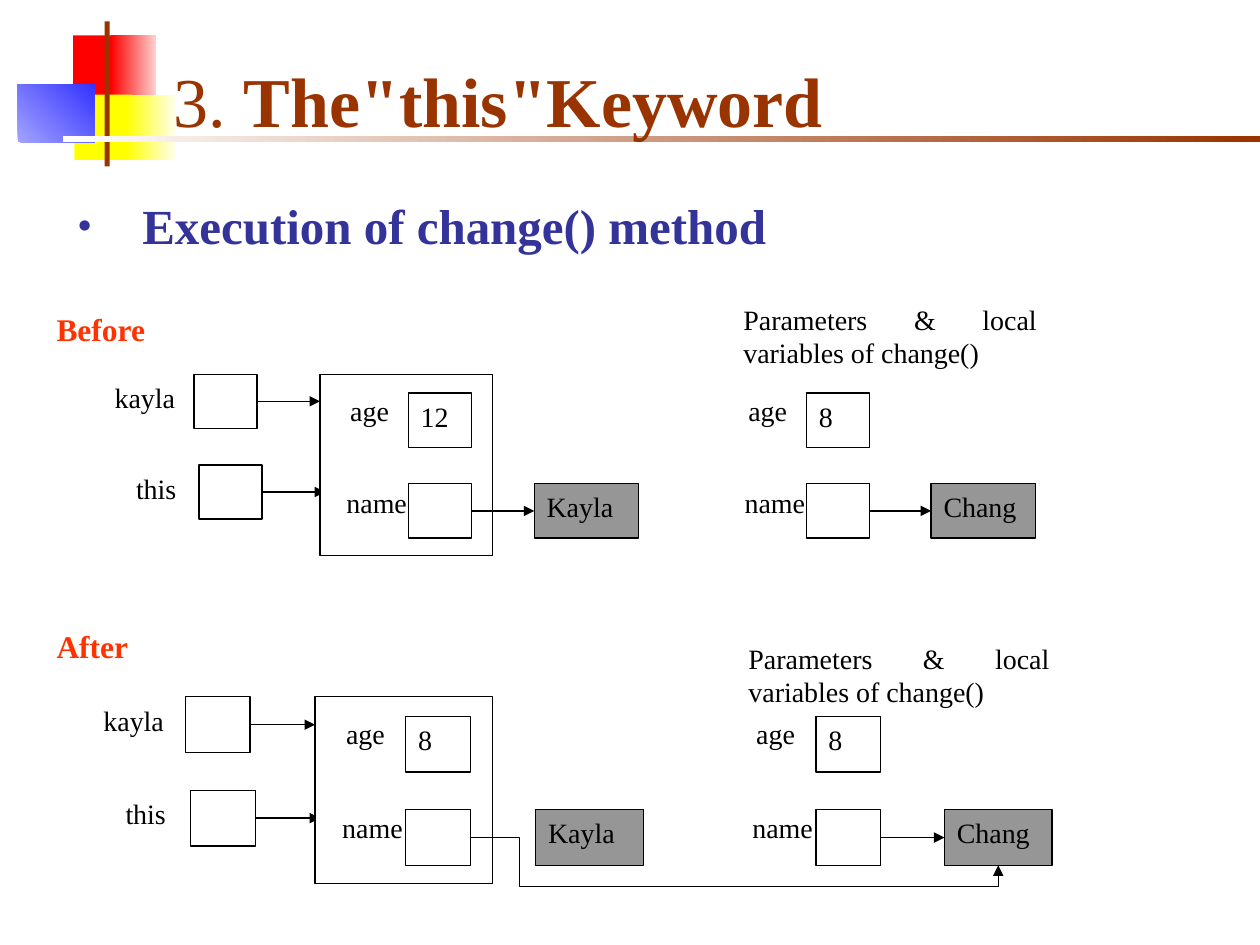
from lxml.etree import SubElement
from pptx import Presentation
from pptx.dml.color import RGBColor
from pptx.enum.shapes import MSO_CONNECTOR, MSO_SHAPE
from pptx.enum.text import MSO_ANCHOR, MSO_AUTO_SIZE, PP_ALIGN
from pptx.oxml.ns import qn
from pptx.util import Inches, Pt

FONT = "Times New Roman"
COLORS = {
    "black": "000000", "white": "FFFFFF", "gray": "969696", "brown": "993300",
    "navy": "333399", "orange": "FF3300", "red": "FF0000", "pink": "FFD1D1",
    "yellow": "FFFF00", "cream": "FFFFEF", "lilac": "A3A3FF", "blue": "3333FF",
}
DECORATIONS = [
    ((0.58, 0.28, 0.35, 0.52), ["red"], 0),
    ((0.88, 0.28, 0.36, 0.52), ["pink", "red"], 180),
    ((0.59, 0.75, 0.46, 0.52), ["yellow"], 0),
    ((1, 0.75, 0.4, 0.52), ["cream", "yellow"], 180),
    ((0.14, 0.67, 0.61, 0.46), ["lilac", "blue"], 45),
    ((0.83, 0.17, 0.04, 1.15), ["brown"], 0),
    ((0.5, 1.08, 9.5, 0.05), ["white", "brown"], 0),
]
TITLE = ["3. ", "The\"this\"Keyword"]
HEADING = "Execution of change() method"
CAPTION = "Parameters & local variables of change()"
PANELS = [
    {"state": "Before", "origin": (1.54, 2.97), "scale": 1, "age": "12",
     "state_top": 2.41, "caption_at": (5.9, 2.4, 2.33, 0.58)},
    {"state": "After", "origin": (1.47, 5.53), "scale": 1.03, "age": "8",
     "state_top": 4.93, "caption_at": (5.94, 5.09, 2.39, 0.59)},
]
REFERENCES = [("kayla", -0.63, 0, 0), ("this", -0.46, 0.04, 0.72)]
SCOPES = [
    {"label_left": 1.22, "cell_left": 1.7, "string_left": 2.7, "name": "Kayla"},
    {"label_left": 4.38, "cell_left": 4.86, "string_left": 5.85, "name": "Chang"},
]
CELL_W, CELL_H = 0.5, 0.43
STRING_W = 0.83
OBJECT = (1, 0, 1.37, 1.44)
AGE_TOP, NAME_TOP = 0.15, 0.87
ELBOW_RIGHT, ELBOW_BELOW = 0.39, 0.17


def rgb(color):
    """Return the named colour."""
    return RGBColor.from_string(COLORS[color])


def style_run(run, size, color, bold=False):
    """Set the font of one run."""
    run.font.name, run.font.size, run.font.bold = FONT, Pt(size), bold
    run.font.color.rgb = rgb(color)


def fill_text(frame, text, size=16, color="black", bold=False, align=PP_ALIGN.JUSTIFY):
    """Write one formatted paragraph at the top of a frame."""
    frame.word_wrap, frame.vertical_anchor = True, MSO_ANCHOR.TOP
    frame.text = text
    frame.paragraphs[0].alignment = align
    style_run(frame.paragraphs[0].runs[0], size, color, bold)


def add_box(slide, place, color, text=""):
    """Add an outlined rectangle with optional text."""
    box = slide.shapes.add_shape(MSO_SHAPE.RECTANGLE, *map(Inches, place))
    box.shadow.inherit = False
    box.fill.solid()
    box.fill.fore_color.rgb = rgb(color)
    box.line.color.rgb, box.line.width = rgb("black"), Pt(0.75)
    if text:
        fill_text(box.text_frame, text)
    return box


def add_label(slide, place, text):
    """Add plain text without left, top and right insets."""
    frame = slide.shapes.add_textbox(*map(Inches, place)).text_frame
    frame.margin_left = frame.margin_top = frame.margin_right = 0
    fill_text(frame, text)


def add_arrow(slide, source, target=None, length=0.5, kind=MSO_CONNECTOR.STRAIGHT, side=1):
    """Add an arrow from a box's right side to a target's side or by length."""
    start_x, start_y = source.left + source.width, source.top + source.height // 2
    arrow = slide.shapes.add_connector(kind, start_x, start_y, start_x + Inches(length), start_y)
    arrow.begin_connect(source, 3)
    if target is not None:
        arrow.end_connect(target, side)
    arrow.line.color.rgb, arrow.line.width = rgb("black"), Pt(0.75)
    SubElement(arrow.line._get_or_add_ln(), qn("a:tailEnd"), type="triangle")
    SubElement(arrow._element.spPr, qn("a:effectLst"))
    return arrow


def add_elbow(slide, source, target):
    """Lead an arrow below the boxes and up into the target."""
    arrow = add_arrow(slide, source, target, kind=MSO_CONNECTOR.ELBOW, side=2)
    geometry = arrow._element.spPr.find(qn("a:prstGeom"))
    geometry.set("prst", "bentConnector4")
    guides = geometry.find(qn("a:avLst"))
    ratios = (Inches(ELBOW_RIGHT) / arrow.width, 1 + Inches(ELBOW_BELOW) / arrow.height)
    for number, ratio in enumerate(ratios, 1):
        SubElement(guides, qn("a:gd"), name=f"adj{number}", fmla=f"val {round(ratio * 100000)}")


def add_decorations(slide):
    """Draw the coloured blocks and rules behind the title."""
    for place, colors, angle in DECORATIONS:
        block = slide.shapes.add_shape(MSO_SHAPE.RECTANGLE, *map(Inches, place))
        block.shadow.inherit = False
        block.line.fill.background()
        if len(colors) == 1:
            block.fill.solid()
            block.fill.fore_color.rgb = rgb(colors[0])
            continue
        block.fill.gradient()
        block.fill.gradient_angle = angle
        for position, (stop, color) in enumerate(zip(block.fill.gradient_stops, colors)):
            stop.position, stop.color.rgb = position, rgb(color)


def format_placeholder(slide, holder, place, anchor, spacing, margin, indent):
    """Place a placeholder above the decorations and set its paragraph."""
    holder.left, holder.top, holder.width, holder.height = map(Inches, place)
    slide.shapes._spTree.append(holder._element)
    frame = holder.text_frame
    frame.auto_size, frame.vertical_anchor = MSO_AUTO_SIZE.NONE, anchor
    paragraph = frame.paragraphs[0]
    paragraph.alignment = PP_ALIGN.LEFT
    paragraph.line_spacing, paragraph.space_before = Pt(spacing), Pt(0)
    properties = paragraph._p.get_or_add_pPr()
    properties.set("marL", str(Inches(margin)))
    properties.set("indent", str(Inches(indent)))
    return paragraph, properties


def add_headings(slide):
    """Fill the title and the bulleted heading."""
    title, heading = slide.placeholders
    paragraph, _ = format_placeholder(
        slide, title, (1.22, 0.25, 8.63, 0.92), MSO_ANCHOR.BOTTOM, 48, 0.89, -0.83)
    for part, bold in zip(TITLE, (False, True)):
        run = paragraph.add_run()
        run.text = part
        style_run(run, 40, "brown", bold)
    paragraph, properties = format_placeholder(
        slide, heading, (0.42, 1.5, 9.38, 0.83), MSO_ANCHOR.TOP, 34, 0.61, -0.51)
    paragraph.text = HEADING
    style_run(paragraph.runs[0], 28, "navy", True)
    bullet_color = SubElement(properties, qn("a:buClr"))
    SubElement(bullet_color, qn("a:srgbClr"), val=COLORS["navy"])
    SubElement(properties, qn("a:buSzPct"), val="77000")
    SubElement(properties, qn("a:buChar"), char="•")


def add_panel(slide, panel):
    """Draw the references, object and local variables of one state."""
    (left, top), scale = panel["origin"], panel["scale"]

    def at(x, y, width=CELL_W, height=CELL_H):
        return left + x * scale, top + y * scale, width * scale, height * scale

    for label, label_left, cell_left, cell_top in REFERENCES:
        cell = add_box(slide, at(cell_left, cell_top), "white")
        add_arrow(slide, cell, length=CELL_W * scale)
        add_label(slide, at(label_left, cell_top + 0.05, 0.67, 0.32), label)
    add_box(slide, at(*OBJECT), "white")

    name_cells, strings = [], []
    for scope, age in zip(SCOPES, (panel["age"], "8")):
        add_box(slide, at(scope["cell_left"], AGE_TOP), "white", age)
        name_cells.append(add_box(slide, at(scope["cell_left"], NAME_TOP), "white"))
        strings.append(add_box(
            slide, at(scope["string_left"], NAME_TOP, STRING_W), "gray", scope["name"]))
        add_label(slide, at(scope["label_left"] + 0.02, AGE_TOP, 0.67, 0.32), "age")
        add_label(slide, at(scope["label_left"] - 0.01, NAME_TOP + 0.01, 0.67, 0.32), "name")
    add_arrow(slide, name_cells[1], strings[1])
    if panel["state"] == "Before":
        add_arrow(slide, name_cells[0], strings[0])
    else:
        add_elbow(slide, name_cells[0], strings[1])

    add_label(slide, panel["caption_at"], CAPTION)
    state = slide.shapes.add_textbox(*map(Inches, (0.35, panel["state_top"], 1.18, 0.4)))
    fill_text(state.text_frame, panel["state"], 18, "orange", True, PP_ALIGN.LEFT)


def main():
    """Build and save the slide."""
    presentation = Presentation()
    presentation.slide_width, presentation.slide_height = Inches(10), Inches(7.5)
    slide = presentation.slides.add_slide(presentation.slide_layouts[1])
    add_decorations(slide)
    add_headings(slide)
    for panel in PANELS:
        add_panel(slide, panel)
    presentation.save("out.pptx")


if __name__ == "__main__":
    main()
